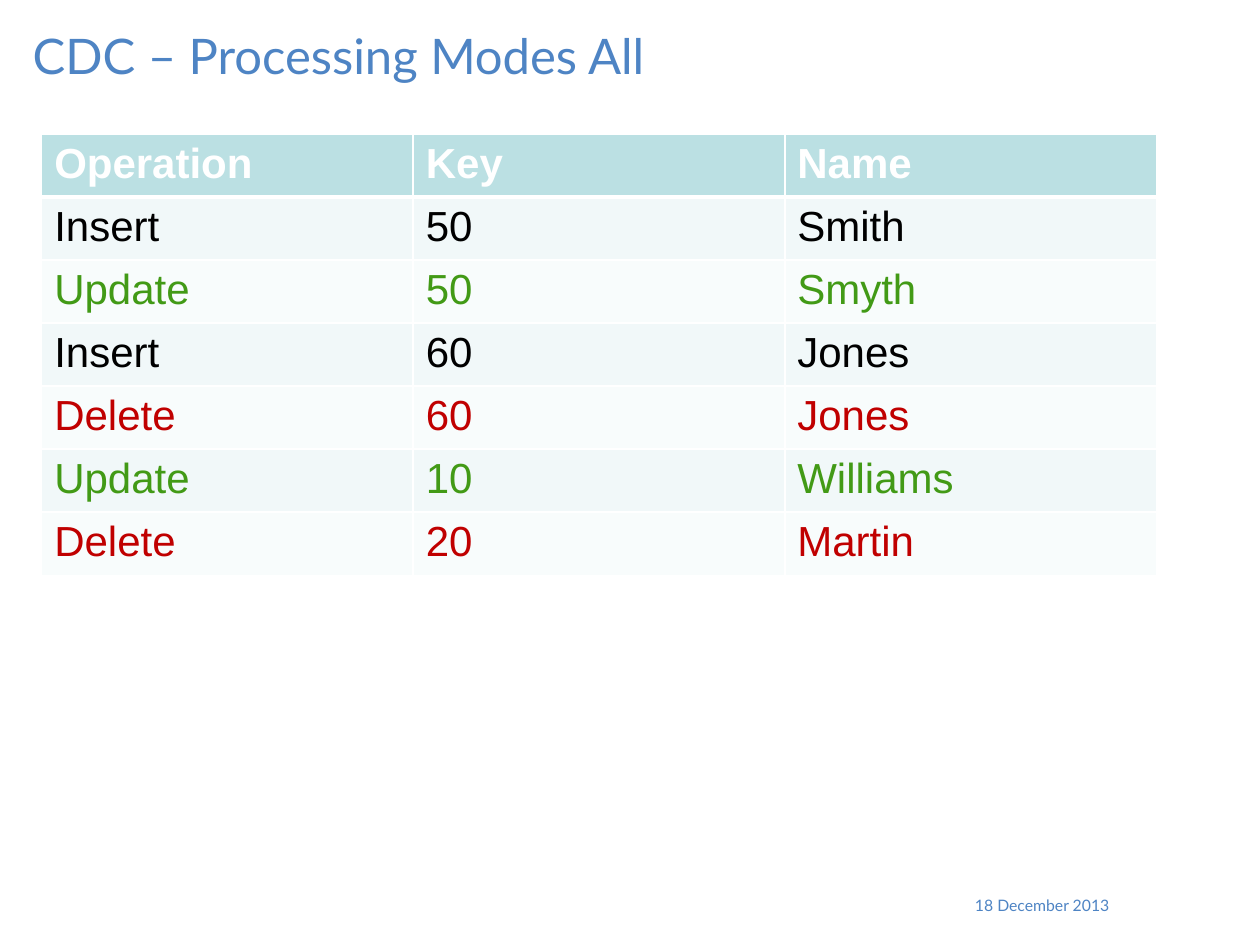
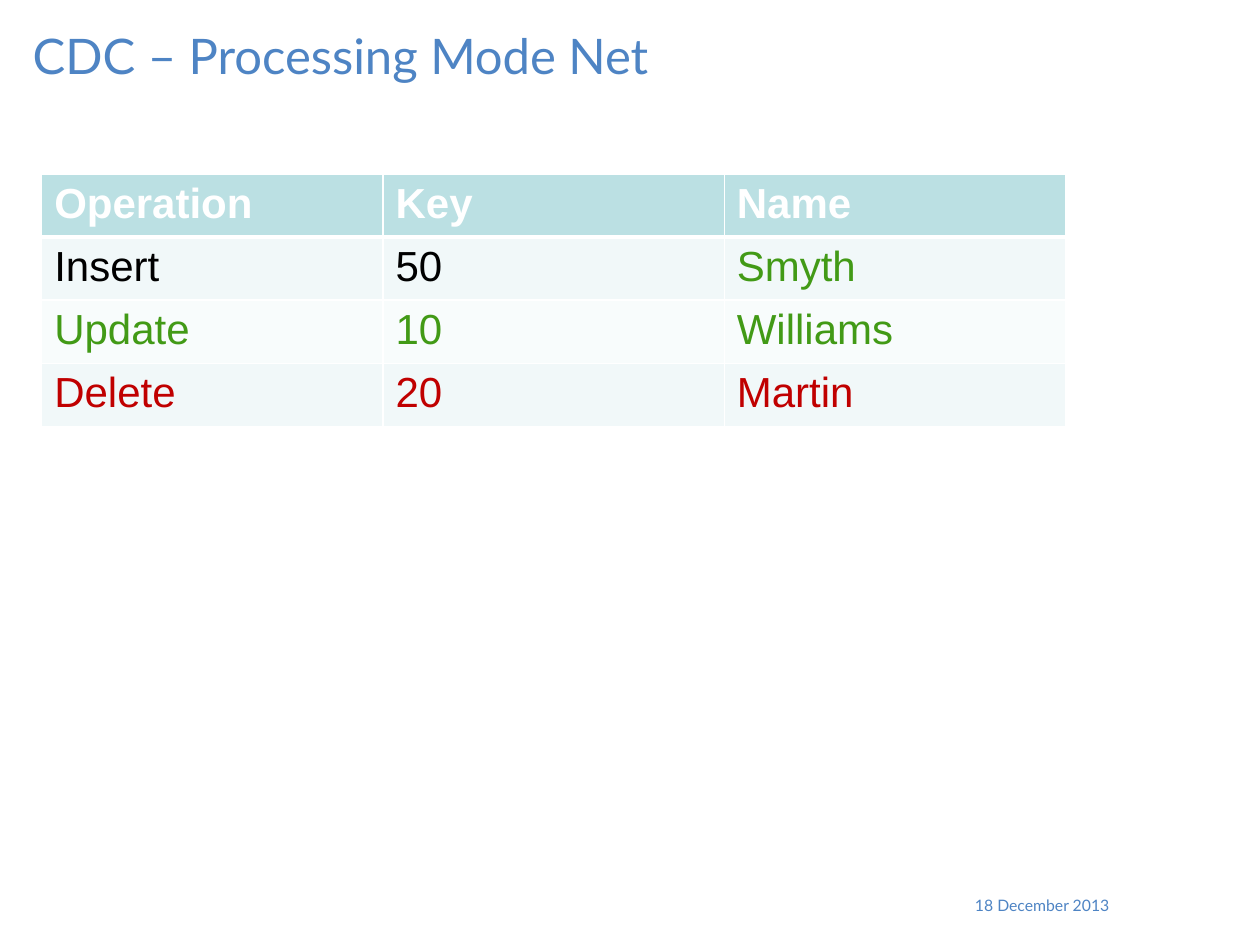
from dataclasses import dataclass
from lxml.etree import SubElement
from pptx import Presentation
from pptx.dml.color import RGBColor
from pptx.enum.text import PP_ALIGN
from pptx.oxml.ns import qn
from pptx.util import Cm, Pt


@dataclass(frozen=True)
class Theme:
    blue: str = "4E84C4"
    white: str = "FFFFFF"
    black: str = "000000"
    green: str = "429A16"
    red: str = "C00000"
    head: str = "BBE0E3"
    bands: tuple = ("F1F8F9", "F8FCFC")
    label: str = "Lato"
    body: str = "Arial"
    title: int = 28
    cell: int = 24
    date: int = 9
    thin: int = 1
    thick: int = 3


THEME = Theme()
INKS = {"Insert": THEME.black, "Update": THEME.green, "Delete": THEME.red}
HEADS = ("Operation", "Key", "Name")
LEFT, HIGH = 0.84, 1.04  # table left edge and row height, cm


def style(para, face, size, ink, bold=False):
    font = para.font
    font.name, font.size, font.bold = face, Pt(size), bold
    font.color.rgb = RGBColor.from_string(ink)


def add_label(slide, text, box, size, align=PP_ALIGN.LEFT):
    frame = slide.shapes.add_textbox(*map(Cm, box)).text_frame
    frame.word_wrap = True
    para = frame.paragraphs[0]
    para.text, para.alignment = text, align
    style(para, THEME.label, size, THEME.blue)


def add_edges(cell, top, base):
    props = cell._tc.get_or_add_tcPr()
    widths = {"L": THEME.thin, "R": THEME.thin, "T": top, "B": base}
    for side, width in widths.items():
        line = SubElement(props, qn(f"a:ln{side}"), w=str(Pt(width)))
        fill = SubElement(line, qn("a:solidFill"))
        SubElement(fill, qn("a:srgbClr"), val=THEME.white)


def fill_cell(cell, text, ink, back, row):
    # The heavy rule lies between the header and the first data row
    top = THEME.thick if row == 1 else THEME.thin
    base = THEME.thick if row == 0 else THEME.thin
    add_edges(cell, top, base)
    cell.fill.solid()
    cell.fill.fore_color.rgb = RGBColor.from_string(back)
    para = cell.text_frame.paragraphs[0]
    para.text = text
    style(para, THEME.body, THEME.cell, ink, bold=row == 0)


def add_grid(slide, top, wide, rows, marks):
    """Draw the change table; marks maps (row, column) to a special ink."""
    data = [HEADS, *rows]
    count = len(HEADS)
    grid = slide.shapes.add_table(
        len(data), count, Cm(LEFT), Cm(top),
        Cm(wide * count), Cm(HIGH * len(data))).table
    for col in grid.columns:
        col.width = Cm(wide)
    for r, items in enumerate(data):
        back = THEME.bands[(r - 1) % 2] if r else THEME.head
        tone = INKS[items[0]] if r else THEME.white
        for c, text in enumerate(items):
            ink = marks.get((r, c), tone)
            fill_cell(grid.cell(r, c), text, ink, back, r)


def add_page(deck, title, top, wide, rows, marks):
    slide = deck.slides.add_slide(deck.slide_layouts[6])
    # Footer date
    add_label(slide, "18 December 2013", (18.67, 17.93, 3.94, 0.89),
              THEME.date, PP_ALIGN.RIGHT)
    # Table and title
    add_grid(slide, top, wide, rows, marks)
    add_label(slide, title, (0.41, 0.38, 24.51, 1.7), THEME.title)


def main():
    deck = Presentation()
    deck.slide_width, deck.slide_height = Cm(25.4), Cm(19.05)

    # Every change in order
    add_page(deck, "CDC – Processing Modes All", 2.7, 7.49, [
        ("Insert", "50", "Smith"),
        ("Update", "50", "Smyth"),
        ("Insert", "60", "Jones"),
        ("Delete", "60", "Jones"),
        ("Update", "10", "Williams"),
        ("Delete", "20", "Martin"),
    ], {})

    # Net result, with the updated name marked
    add_page(deck, "CDC – Processing Mode Net", 3.51, 6.88, [
        ("Insert", "50", "Smyth"),
        ("Update", "10", "Williams"),
        ("Delete", "20", "Martin"),
    ], {(1, 2): THEME.green})

    deck.save("out.pptx")


if __name__ == "__main__":
    main()
